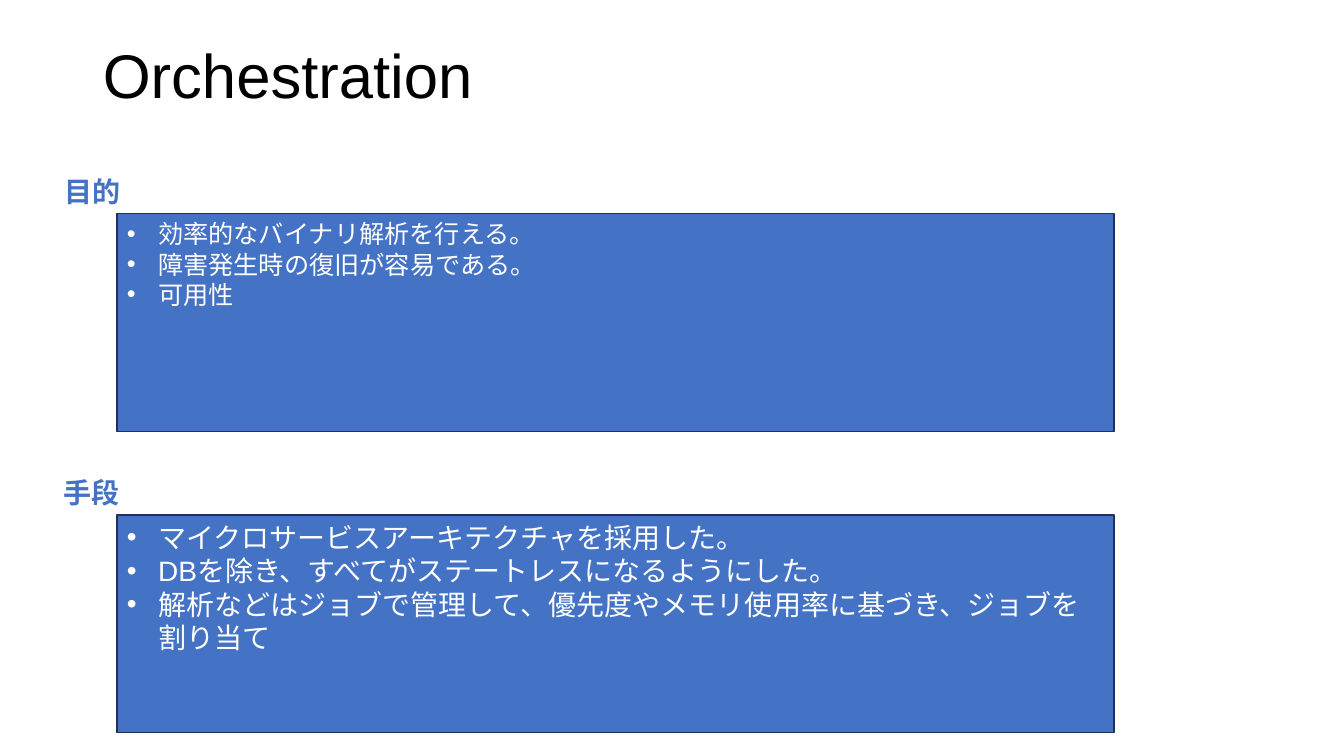
from dataclasses import dataclass

from pptx import Presentation, util as u
from pptx.dml.color import RGBColor
from pptx.enum import shapes, text
from pptx.oxml.xmlchemy import OxmlElement

FONT = "Arial"
BLUE, NAVY, WHITE, BLACK = "4472C4", "1E3256", "FFFFFF", "000000"

deck = Presentation()
deck.slide_width, deck.slide_height = u.Inches(13.33), u.Inches(7.5)
slide = deck.slides.add_slide(deck.slide_layouts[5])

# Positions in percent of the slide's width and height
PANEL_LEFT, PANEL_WIDTH, PANEL_HEIGHT = 8.7, 74.2, 28.8
HEADING_WIDTH, HEADING_HEIGHT = 5.78, 5.87
FIRST_TOP, SECTION_PITCH = 22.4, 39.87
INDENT = u.Inches(0.31)


@dataclass
class Section:
    heading: str
    heading_left: float
    points: list[str]
    point_size: int


SECTIONS = [
    Section("目的", 4.05, [
        "効率的なバイナリ解析を行える。",
        "障害発生時の復旧が容易である。",
        "可用性",
    ], 18),
    Section("手段", 3.98, [
        "マイクロサービスアーキテクチャを採用した。",
        "DBを除き、すべてがステートレスになるようにした。",
        "解析などはジョブで管理して、優先度やメモリ使用率に基づき、ジョブを割り当て",
    ], 20),
]


def color(hex_value: str) -> RGBColor:
    return RGBColor.from_string(hex_value)


def area(left: float, top: float, width: float, height: float) -> list[int]:
    """Turn percentages of the slide into lengths."""
    across, down = deck.slide_width / 100, deck.slide_height / 100
    return [round(left * across), round(top * down),
            round(width * across), round(height * down)]


def style(paragraph, size: int, hex_value: str, bold: bool = False) -> None:
    paragraph.alignment = text.PP_ALIGN.LEFT
    font = paragraph.font
    font.name, font.size, font.bold = FONT, u.Pt(size), bold
    font.color.rgb = color(hex_value)


def add_bullet(paragraph) -> None:
    props = paragraph._p.get_or_add_pPr()
    props.set("marL", str(INDENT))
    props.set("indent", str(-INDENT))
    typeface = OxmlElement("a:buFont")
    typeface.set("typeface", FONT)
    bullet = OxmlElement("a:buChar")
    bullet.set("char", "•")
    props.insert_element_before(typeface, "a:tabLst", "a:defRPr", "a:extLst")
    typeface.addnext(bullet)


def draw_heading(section: Section, top: float) -> None:
    heading = slide.shapes.add_textbox(
        *area(section.heading_left, top, HEADING_WIDTH, HEADING_HEIGHT))
    frame = heading.text_frame
    frame.text = section.heading
    frame.word_wrap = False
    frame.auto_size = text.MSO_AUTO_SIZE.SHAPE_TO_FIT_TEXT
    style(frame.paragraphs[0], 20, BLUE, bold=True)


def draw_panel(section: Section, top: float) -> None:
    panel = slide.shapes.add_shape(
        shapes.MSO_SHAPE.RECTANGLE,
        *area(PANEL_LEFT, top, PANEL_WIDTH, PANEL_HEIGHT))
    panel.shadow.inherit = False
    panel.fill.solid()
    panel.fill.fore_color.rgb = color(BLUE)
    panel.line.color.rgb = color(NAVY)
    panel.line.width = u.Pt(1)
    frame = panel.text_frame
    frame.word_wrap = True
    frame.vertical_anchor = text.MSO_ANCHOR.TOP
    frame.text = "\n".join(section.points)
    for paragraph in frame.paragraphs:
        style(paragraph, section.point_size, WHITE)
        add_bullet(paragraph)


# Title
title = slide.shapes.title
title.left, title.top, title.width, title.height = area(6.9, 5.33, 86.27, 19.33)
title.text_frame.text = "Orchestration"
title.text_frame.vertical_anchor = text.MSO_ANCHOR.TOP
title.text_frame.auto_size = text.MSO_AUTO_SIZE.NONE
style(title.text_frame.paragraphs[0], 44, BLACK)
title.text_frame.paragraphs[0].line_spacing = 0.9

# Purpose and means, each a heading above its panel
for index, section in enumerate(SECTIONS):
    section_top = FIRST_TOP + index * SECTION_PITCH
    draw_heading(section, section_top)
    draw_panel(section, section_top + HEADING_HEIGHT)

deck.save("out.pptx")
